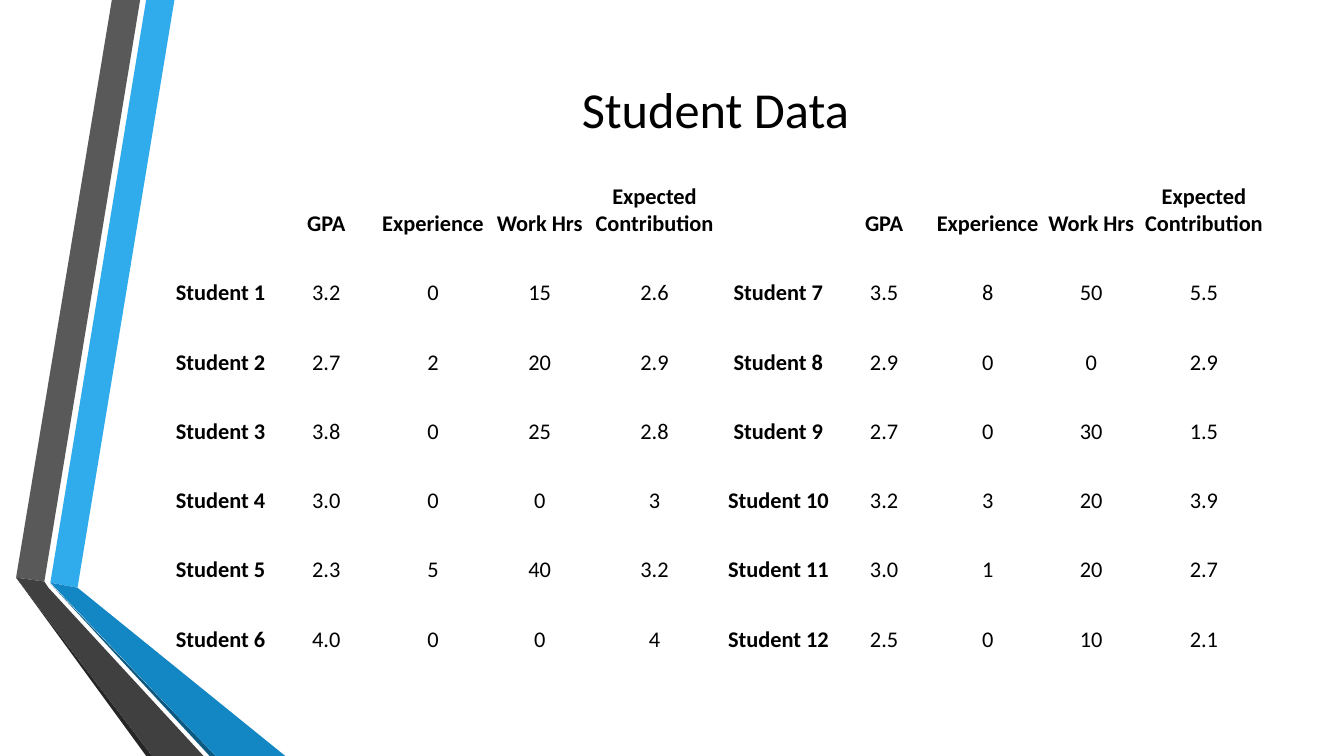
from pptx import Presentation
from pptx.dml.color import RGBColor
from pptx.enum import text
from pptx.util import Pt


def paint(fill, color):
    fill.solid()
    fill.fore_color.rgb = RGBColor.from_string(color)


def style(para, size, bold=False):
    para.alignment = text.PP_ALIGN.CENTER
    para.font.name = "Calibri"
    para.font.size = Pt(size)
    para.font.bold = bold
    para.font.color.rgb = RGBColor.from_string("000000")


deck = Presentation()
deck.slide_width, deck.slide_height = Pt(960), Pt(540)
slide = deck.slides.add_slide(deck.slide_layouts[6])
paint(slide.background.fill, "FFFFFF")

# Folded ribbons on the left edge
ribbons = [
    ("30ACEC", [(36, 416.2), (55.4, 419.8), (124.6, 0), (104.4, 0)]),
    ("595959", [(100.1, 0), (79.9, 0), (11.5, 412.6), (31.7, 415.4)]),
    ("262626", [(11.5, 412.6), (104.4, 540), (108.7, 540)]),
    ("0C5A82", [(36, 416.9), (149.8, 540), (154.1, 540)]),
    ("1287C3", [(36, 416.2), (154.1, 540), (203.8, 540), (55.4, 419.8)]),
    ("404040", [(145.4, 540), (34.6, 419.8), (31.7, 415.4), (11.5, 412.6),
                (108.7, 540)]),
]
for color, points in ribbons:
    start, *rest = [(Pt(x), Pt(y)) for x, y in points]
    path = slide.shapes.build_freeform(*start)
    path.add_line_segments(rest)
    ribbon = path.convert_to_shape()
    ribbon.shadow.inherit = False
    paint(ribbon.fill, color)
    ribbon.line.fill.background()

title = slide.shapes.add_textbox(Pt(116.6), Pt(54), Pt(789), Pt(46.8)).text_frame
title.word_wrap = True
title.vertical_anchor = text.MSO_ANCHOR.MIDDLE
title.text = "Student Data"
style(title.paragraphs[0], 36)

# GPA, experience, work hours, expected contribution
heads = ["", "GPA", "Experience", "Work Hrs", "Expected Contribution"]
scores = [
    "3.2 0 15 2.6", "2.7 2 20 2.9", "3.8 0 25 2.8",
    "3.0 0 0 3", "2.3 5 40 3.2", "4.0 0 0 4",
    "3.5 8 50 5.5", "2.9 0 0 2.9", "2.7 0 30 1.5",
    "3.2 3 20 3.9", "3.0 1 20 2.7", "2.5 0 10 2.1",
]
people = [[f"Student {n}", *line.split()] for n, line in enumerate(scores, 1)]
half = len(people) // 2
rows = [heads * 2] + [a + b for a, b in zip(people[:half], people[half:])]
widths = [82, 69, 83.5, 69, 95, 82, 69, 79, 69, 92]

table = slide.shapes.add_table(len(rows), len(widths), Pt(116.6), Pt(120.2),
                               Pt(sum(widths)), Pt(346.5)).table
table.first_row = table.horz_banding = False
for col, width in zip(table.columns, widths):
    col.width = Pt(width)
for r, row in enumerate(rows):
    table.rows[r].height = Pt(49.5)
    for c, value in enumerate(row):
        cell = table.cell(r, c)
        paint(cell.fill, "FFFFFF")
        cell.margin_left = cell.margin_right = cell.margin_top = Pt(0.7)
        cell.margin_bottom = 0
        cell.vertical_anchor = text.MSO_ANCHOR.BOTTOM
        cell.text = value
        style(cell.text_frame.paragraphs[0], 16, r == 0 or c % len(heads) == 0)

deck.save("out.pptx")
